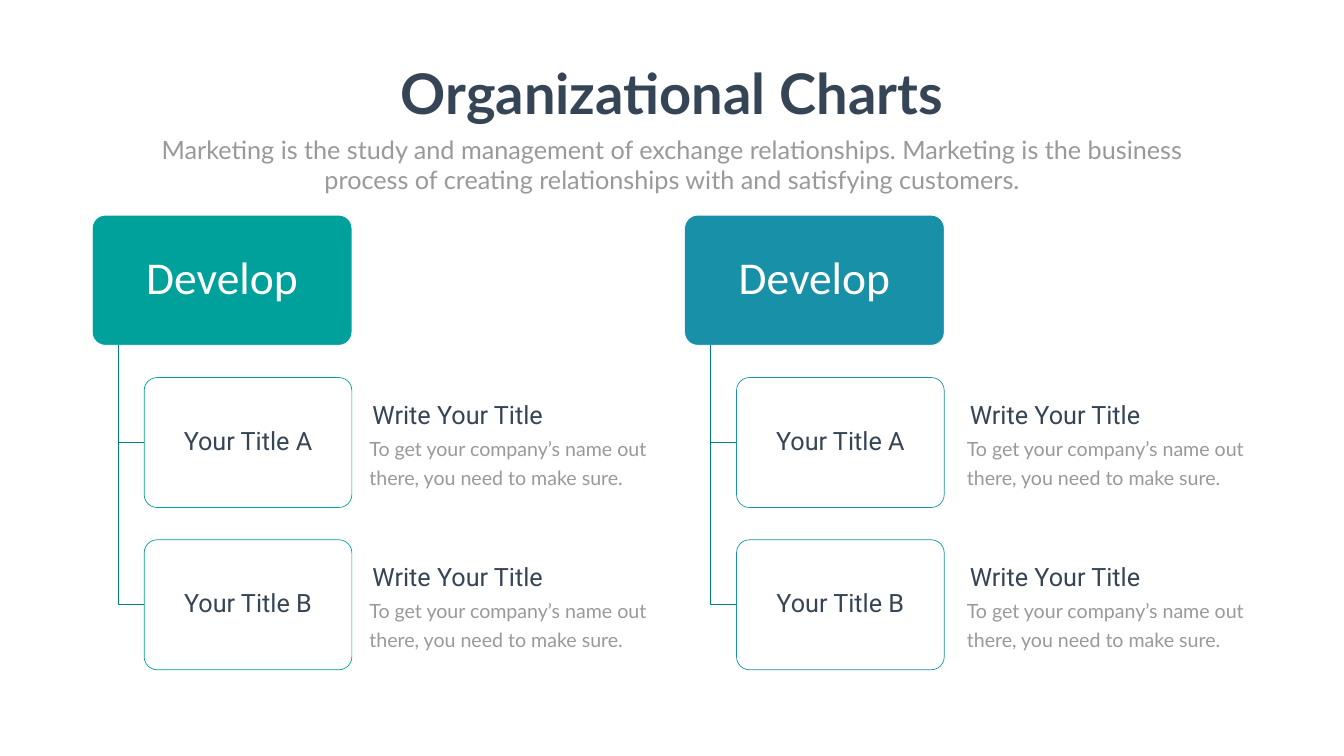
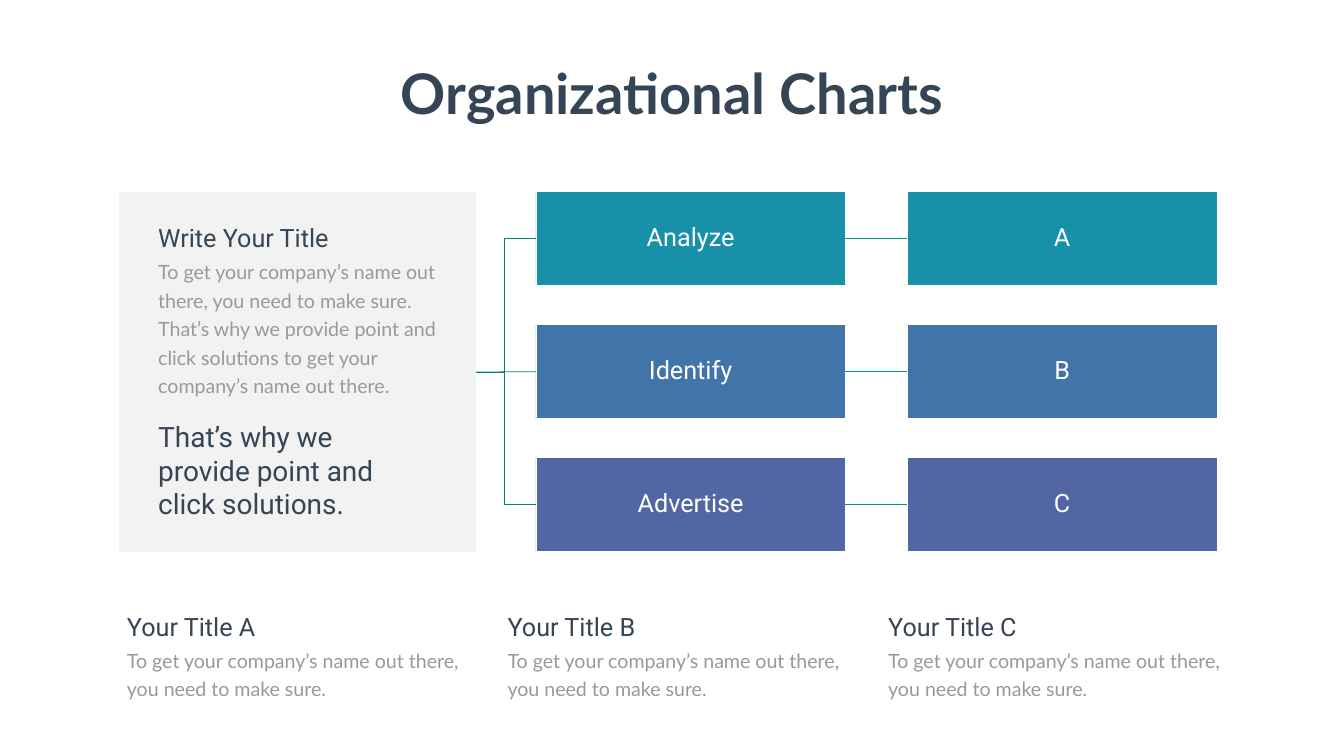
import dataclasses

import pptx
import pptx.dml.color
import pptx.enum.shapes
import pptx.enum.text
import pptx.oxml.ns
import pptx.util
from lxml import etree

Inches = pptx.util.Inches
Pt = pptx.util.Pt
ALIGN = pptx.enum.text.PP_ALIGN
ANCHOR = pptx.enum.text.MSO_ANCHOR
AUTO_SIZE = pptx.enum.text.MSO_AUTO_SIZE
SHAPE = pptx.enum.shapes.MSO_SHAPE


@dataclasses.dataclass(frozen=True)
class Theme:
    ink: str = "364556"
    grey: str = "999999"
    panel: str = "808080"
    white: str = "FFFFFF"
    green: str = "00A19B"
    teal: str = "1891A8"
    blue: str = "4175AA"
    indigo: str = "5166A3"
    branch: str = "00817C"
    link: str = "00928D"
    text_font: str = "Lato"
    label_font: str = "Roboto"
    root_font: str = "Calibri"
    title_size: float = 80
    root_size: float = 65
    quote_size: float = 40
    label_size: float = 36
    body_size: float = 28
    body_leading: float = 40.8
    line_width: float = 1


@dataclasses.dataclass(frozen=True)
class Box:
    left: float
    top: float
    width: float
    height: float

    @property
    def right(self):
        return self.left + self.width

    @property
    def middle(self):
        return self.top + self.height / 2

    def emu(self):
        return [Inches(v) for v in (self.left, self.top, self.width, self.height)]


THEME = Theme()
TITLE = "Organizational Charts"
SUBTITLE = ("Marketing is the study and management of exchange relationships. "
            "Marketing is the business process of creating relationships with "
            "and satisfying customers.")
SHORT_BODY = "To get your company’s name out there, you need to make sure."
LONG_BODY = (SHORT_BODY + " That’s why we provide point and click solutions "
             "to get your company’s name out there.")
HEADING = "Write Your Title"
QUOTE = "That’s why we provide point and click solutions."


# Shared helpers
def rgb(value):
    return pptx.dml.color.RGBColor.from_string(value)


def write(frame, text, size=THEME.label_size, font=THEME.label_font,
          color=THEME.ink, bold=False, align=ALIGN.LEFT, spacing=None,
          anchor=ANCHOR.TOP, wrap=True, auto_size=AUTO_SIZE.SHAPE_TO_FIT_TEXT):
    frame.word_wrap = wrap
    frame.auto_size = auto_size
    frame.vertical_anchor = anchor
    paragraph = frame.paragraphs[0]
    paragraph.alignment = align
    if spacing:
        paragraph.line_spacing = spacing
    run = paragraph.add_run()
    run.text = text
    run.font.size = Pt(size)
    run.font.name = font
    run.font.bold = bold
    run.font.color.rgb = rgb(color)


def add_text(slide, box, text, **style):
    write(slide.shapes.add_textbox(*box.emu()).text_frame, text, **style)


def add_block(slide, box, fill, line=None, opacity=100, kind=SHAPE.RECTANGLE):
    block = slide.shapes.add_shape(kind, *box.emu())
    block.shadow.inherit = False
    block.fill.solid()
    block.fill.fore_color.rgb = rgb(fill)
    if kind == SHAPE.ROUNDED_RECTANGLE:
        block.adjustments[0] = 0.1
    if opacity < 100:
        color = block.fill._xPr.find(".//" + pptx.oxml.ns.qn("a:srgbClr"))
        etree.SubElement(color, pptx.oxml.ns.qn("a:alpha"), val=str(opacity * 1000))
    if line:
        block.line.color.rgb = rgb(line)
        block.line.width = Pt(THEME.line_width)
    else:
        block.line.fill.background()
    return block


def add_node(slide, box, text, fill, line=THEME.white, opacity=100,
             kind=SHAPE.RECTANGLE, **style):
    node = add_block(slide, box, fill, line, opacity, kind)
    write(node.text_frame, text, align=ALIGN.CENTER, anchor=ANCHOR.MIDDLE,
          spacing=0.9, auto_size=AUTO_SIZE.NONE, **style)
    return node


def add_branch(slide, *points):
    start, *rest = [(Inches(x), Inches(y)) for x, y in points]
    builder = slide.shapes.build_freeform(*start)
    builder.add_line_segments(rest, close=False)
    branch = builder.convert_to_shape()
    branch.shadow.inherit = False
    branch.fill.background()
    branch.line.color.rgb = rgb(THEME.branch)
    branch.line.width = Pt(THEME.line_width)


def add_link(slide, source, target, color):
    link = slide.shapes.add_connector(
        pptx.enum.shapes.MSO_CONNECTOR.STRAIGHT, 0, 0, 0, 0)
    link.begin_connect(source, 3)
    link.end_connect(target, 1)
    link.line.color.rgb = rgb(color)
    link.line.width = Pt(THEME.line_width)
    etree.SubElement(link._element.spPr, pptx.oxml.ns.qn("a:effectLst"))


def add_caption(slide, box, heading, body, indent=0):
    """Heading with body text below it; the box is that of the whole caption."""
    add_text(slide, Box(box.left, box.top + 0.65, box.width, box.height - 0.65),
             body, size=THEME.body_size, font=THEME.text_font, color=THEME.grey,
             spacing=Pt(THEME.body_leading))
    add_text(slide, Box(box.left + indent, box.top, 5.72, 0.71), heading)


def add_titled_slide(deck):
    slide = deck.slides.add_slide(deck.slide_layouts[5])
    title = slide.shapes.title
    title.left, title.top, title.width, title.height = Box(7.7, 1.12, 11.26, 1.45).emu()
    write(title.text_frame, TITLE, size=THEME.title_size, font=THEME.text_font,
          bold=True, align=ALIGN.CENTER, wrap=False)
    return slide


# Slide 1: two hanging trees
def add_tree(slide, box, color, caption_left):
    root = Box(box.left, box.top, 5.15, 2.58)
    add_node(slide, root, "Develop", color, kind=SHAPE.ROUNDED_RECTANGLE,
             size=THEME.root_size, font=THEME.root_font, color=THEME.white)
    trunk = root.left + 0.52
    for row, label in enumerate(("Your Title A", "Your Title B")):
        leaf = Box(root.left + 1.03, root.top + 3.22 * (row + 1), 4.12, 2.58)
        add_branch(slide, (trunk, root.top + root.height),
                   (trunk, leaf.middle), (leaf.left, leaf.middle))
        add_node(slide, leaf, label, THEME.white, color, opacity=90,
                 kind=SHAPE.ROUNDED_RECTANGLE)
        add_caption(slide, Box(caption_left, leaf.top + 0.38,
                               box.right - caption_left, 1.84),
                    HEADING, SHORT_BODY, indent=0.06)


def build_trees_slide(deck):
    slide = add_titled_slide(deck)
    add_text(slide, Box(2.92, 2.61, 20.82, 1.31), SUBTITLE, font=THEME.text_font,
             color=THEME.grey, align=ALIGN.CENTER)
    add_tree(slide, Box(1.83, 4.27, 11.63, 9.02), THEME.green, caption_left=7.23)
    add_tree(slide, Box(13.58, 4.27, 11.73, 9.02), THEME.teal, caption_left=19.08)


# Slide 2: panel branching into rows, captions below
def add_panel(slide, box):
    panel = add_block(slide, box, THEME.panel, opacity=10)
    left = box.left + 0.68
    add_caption(slide, Box(left, box.top + 0.56, 5.72, 3.57), HEADING, LONG_BODY)
    add_text(slide, Box(left, box.top + 4.48, 5.31, 2.12), QUOTE,
             size=THEME.quote_size)
    return panel


def add_rows(slide, box, panel, panel_box):
    rows = (("Analyze", "A", THEME.teal), ("Identify", "B", THEME.blue),
            ("Advertise", "C", THEME.indigo))
    width, height = 6.14, 1.87
    pitch = (box.height - height) / (len(rows) - 1)
    for row, (step, letter, color) in enumerate(rows):
        step_box = Box(box.left, box.top + row * pitch, width, height)
        letter_box = Box(box.right - width, step_box.top, width, height)
        step_node = add_node(slide, step_box, step, color, color=THEME.white)
        letter_node = add_node(slide, letter_box, letter, color, color=THEME.white)
        add_link(slide, step_node, letter_node, THEME.link)
        if row == 1:
            add_link(slide, panel, step_node, THEME.branch)
        else:
            bend = box.left - 0.62
            add_branch(slide, (panel_box.right, panel_box.middle),
                       (bend, panel_box.middle), (bend, step_box.middle),
                       (step_box.left, step_box.middle))


def add_caption_row(slide, box):
    for column, letter in enumerate("ABC"):
        add_caption(slide, Box(box.left + column * 7.55, box.top, 7.03, box.height),
                    f"Your Title {letter}", SHORT_BODY)


def build_rows_slide(deck):
    slide = add_titled_slide(deck)
    panel_box = Box(2.36, 3.8, 7.08, 7.16)
    panel = add_panel(slide, panel_box)
    add_rows(slide, Box(10.63, 3.8, 13.51, 7.15), panel, panel_box)
    add_caption_row(slide, Box(2.42, 12.07, 22.14, 1.84))


def main():
    deck = pptx.Presentation()
    deck.slide_width, deck.slide_height = Inches(26.66), Inches(15)
    build_trees_slide(deck)
    build_rows_slide(deck)
    deck.save("out.pptx")


if __name__ == "__main__":
    main()
